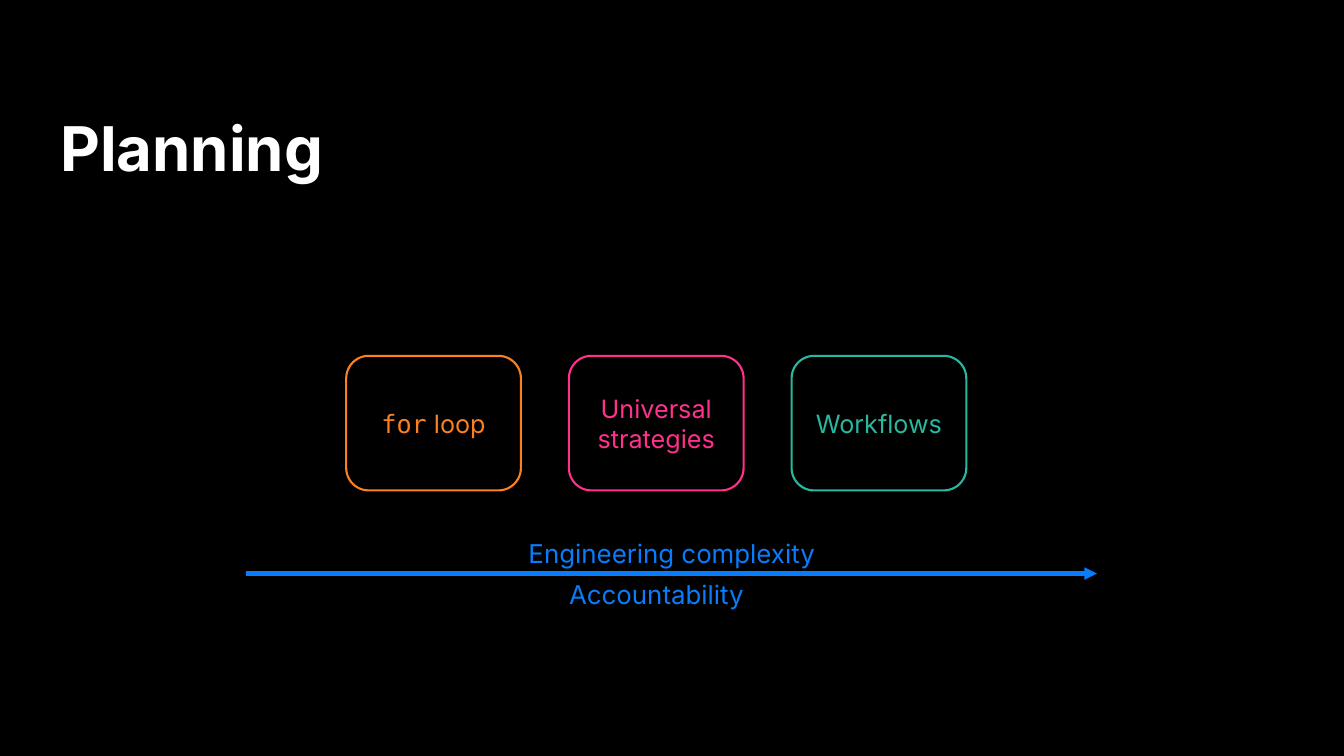
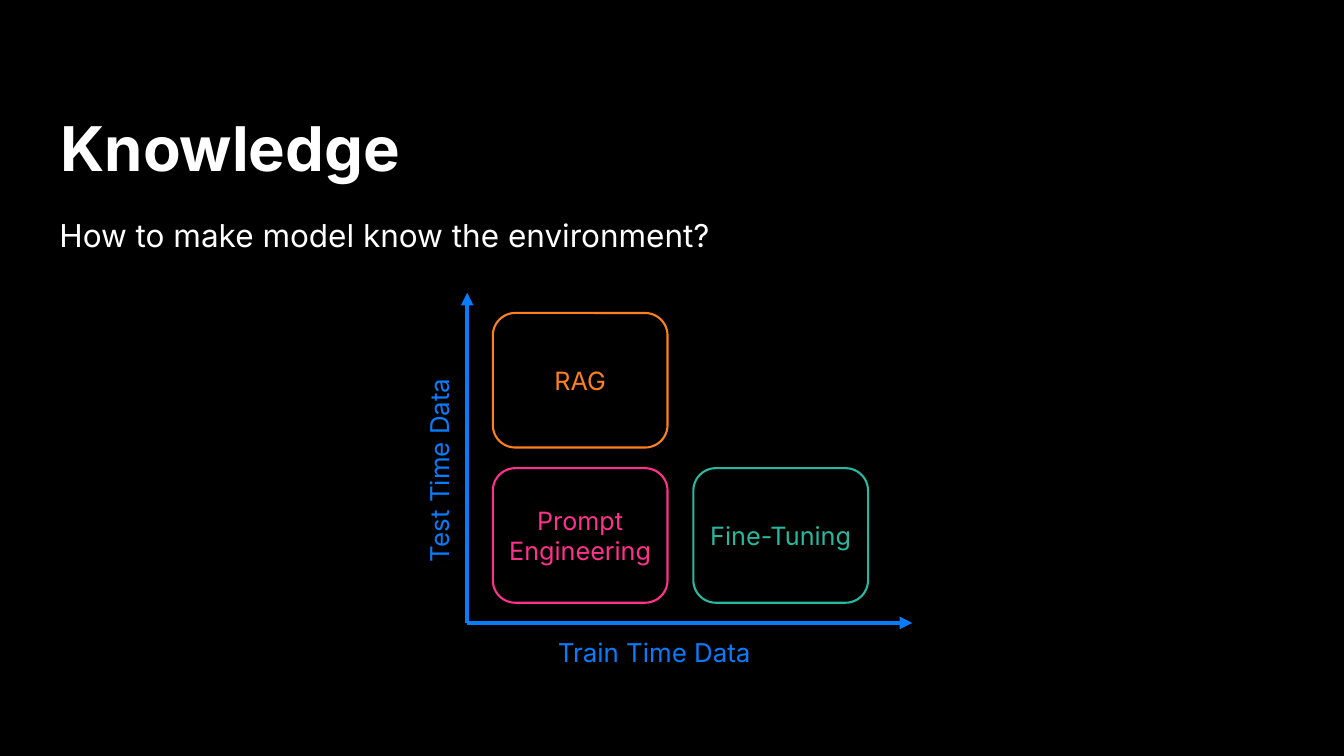
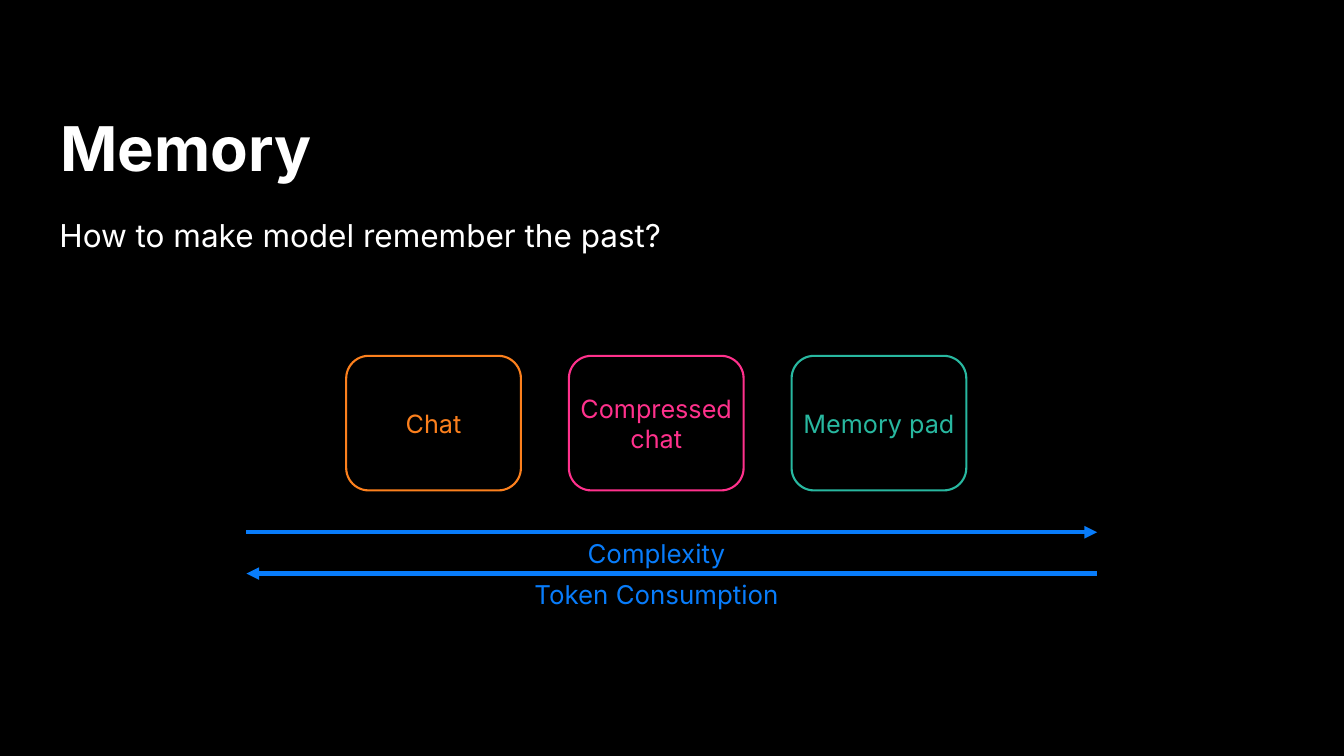
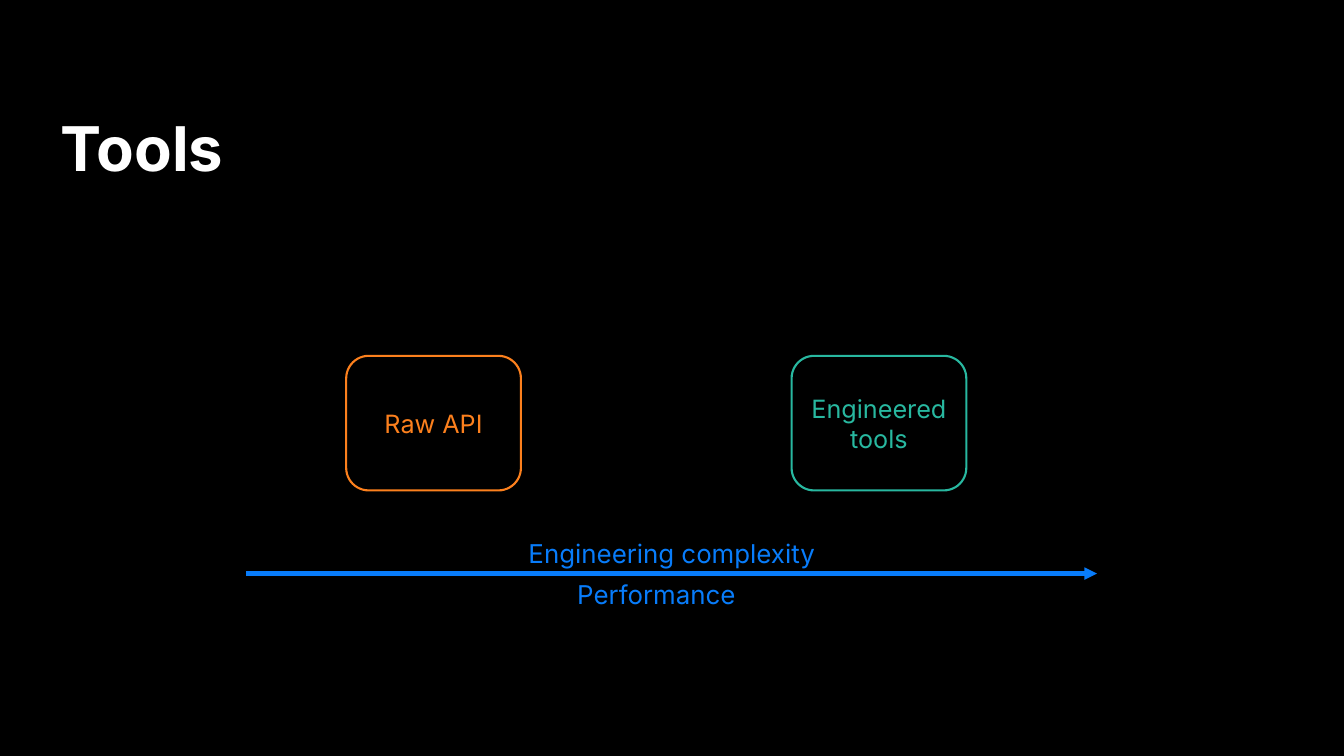
"""Build four dark slides on planning, knowledge, memory and tools for agents."""
from dataclasses import dataclass
from typing import Any

from lxml import etree
from pptx import Presentation
from pptx import util as u
from pptx.dml.color import RGBColor
from pptx.enum import shapes, text
from pptx.oxml.ns import qn

BLACK = RGBColor(0x00, 0x00, 0x00)
WHITE = RGBColor(0xFF, 0xFF, 0xFF)
ORANGE = RGBColor(0xFC, 0x80, 0x1D)
PINK = RGBColor(0xFF, 0x31, 0x8C)
TEAL = RGBColor(0x28, 0xB8, 0xA0)
BLUE = RGBColor(0x08, 0x7C, 0xFA)

SANS, MONO = "Inter", "DejaVu Sans Mono"
WIDTH, HEIGHT = u.Inches(26.67), u.Inches(15)
COLS = ROWS = 100
CARD_W, CARD_H = 13, 17.8
LABEL_H = 5.47
LOWER = 75.87
UPPER = LOWER - LABEL_H
START, END = 18.34, 81.63


@dataclass(frozen=True)
class Area:
    left: float
    top: float
    width: float
    height: float


@dataclass(frozen=True)
class Style:
    size: float
    inset: tuple[float, float, float, float]
    frame: dict[str, Any]
    para: dict[str, Any]
    bold: bool = False


@dataclass(frozen=True)
class Grid:
    left: float
    top: float
    across: float
    down: float = 0


@dataclass(frozen=True)
class Card:
    words: str
    color: RGBColor
    col: int = 0
    row: int = 0
    code: str = ""


@dataclass(frozen=True)
class Label:
    words: str
    left: float
    top: float
    width: float
    turn: float = 0


@dataclass(frozen=True)
class Arrow:
    x1: float
    y1: float
    x2: float
    y2: float
    end: str = "tailEnd"


@dataclass(frozen=True)
class Page:
    title: str
    grid: Grid
    cards: tuple[Card, ...]
    labels: tuple[Label, ...]
    arrows: tuple[Arrow, ...]
    lead: str = ""


CENTER = {"alignment": text.PP_ALIGN.CENTER}
EVEN = (7.2, 7.2, 7.2, 7.2)
TITLE = Style(88, (0, 19.44, 0, 19.44), {"vertical_anchor": text.MSO_ANCHOR.BOTTOM},
              {"line_spacing": 0.9}, True)
LEAD = Style(45, (0, 6.48, 0, 0), {"vertical_anchor": text.MSO_ANCHOR.TOP},
             {"line_spacing": 1.15, "space_after": u.Pt(16)})
BODY = Style(36, EVEN, {"vertical_anchor": text.MSO_ANCHOR.MIDDLE}, CENTER)
NOTE = Style(37, EVEN, {"auto_size": text.MSO_AUTO_SIZE.SHAPE_TO_FIT_TEXT}, CENTER)

TITLE_AREA = Area(4.5, 5.6, 91.08, 20.6)
LEAD_AREA = Area(4.42, 27.2, 91.08, 4.6)
BAND = Grid(25.76, 47.07, 16.57)
PLANE = Grid(36.67, 41.4, 14.92, 20.53)
RIGHT = Arrow(START, LOWER, END, LOWER)
EFFORT = Label("Engineering complexity", 38.13, UPPER, 23.7)


def below(words: str, top: float = LOWER) -> Label:
    return Label(words, 38.77, top, 20.14)


PAGES = (
    Page("Planning", BAND,
         (Card(" loop", ORANGE, code="for"), Card("Universal strategies", PINK, 1),
          Card("Workflows", TEAL, 2)),
         (EFFORT, below("Accountability")), (RIGHT,)),
    Page("Knowledge", PLANE,
         (Card("RAG", ORANGE), Card("Prompt Engineering", PINK, 0, 1),
          Card("Fine-Tuning", TEAL, 1, 1)),
         (Label("Test Time Data", 22.09, 59.47, 21.15, 270),
          Label("Train Time Data", 38.1, 83.6, 21.15)),
         (Arrow(34.76, 82.4, 34.76, 38.73), Arrow(34.76, 82.4, 67.87, 82.4)),
         "How to make model know the environment?"),
    Page("Memory", BAND,
         (Card("Chat", ORANGE), Card("Compressed chat", PINK, 1),
          Card("Memory pad", TEAL, 2)),
         (below("Complexity", UPPER), below("Token Consumption")),
         (Arrow(START, UPPER, END, UPPER), Arrow(START, LOWER, END, LOWER, "headEnd")),
         "How to make model remember the past?"),
    Page("Tools", BAND,
         (Card("Raw API", ORANGE), Card("Engineered tools", TEAL, 2)),
         (EFFORT, below("Performance")), (RIGHT,)),
)


def across(cols: float) -> int:
    return round(WIDTH * cols / COLS)


def down(rows: float) -> int:
    return round(HEIGHT * rows / ROWS)


def place(area: Area) -> tuple[int, int, int, int]:
    return across(area.left), down(area.top), across(area.width), down(area.height)


def apply(item: Any, values: dict[str, Any]) -> None:
    for name, value in values.items():
        setattr(item, name, value)


def write(shape: Any, words: str, style: Style, color: RGBColor, code: str = "") -> None:
    frame = shape.text_frame
    apply(frame, {"word_wrap": True, **style.frame})
    for side, gap in zip(("left", "top", "right", "bottom"), style.inset):
        setattr(frame, f"margin_{side}", u.Pt(gap))
    para = frame.paragraphs[0]
    apply(para, style.para)
    for part, face in ((code, MONO), (words, SANS)):
        if part:
            run = para.add_run()
            run.text = part
            apply(run.font, {"name": face, "size": u.Pt(style.size), "bold": style.bold})
            run.font.color.rgb = color


def add_text(slide: Any, area: Area, words: str, style: Style, color: RGBColor,
             turn: float = 0) -> None:
    box = slide.shapes.add_textbox(*place(area))
    box.rotation = turn
    write(box, words, style, color)


def add_card(slide: Any, grid: Grid, card: Card) -> None:
    area = Area(grid.left + card.col * grid.across, grid.top + card.row * grid.down,
                CARD_W, CARD_H)
    shape = slide.shapes.add_shape(shapes.MSO_SHAPE.ROUNDED_RECTANGLE, *place(area))
    shape.adjustments[0] = 0.167
    shape.shadow.inherit = False
    shape.fill.solid()
    shape.fill.fore_color.rgb = BLACK
    shape.line.color.rgb = card.color
    shape.line.width = u.Pt(3)
    write(shape, card.words, BODY, card.color, card.code)


def add_arrow(slide: Any, arrow: Arrow) -> None:
    line = slide.shapes.add_connector(
        shapes.MSO_CONNECTOR.STRAIGHT, across(arrow.x1), down(arrow.y1),
        across(arrow.x2), down(arrow.y2))
    line.line.color.rgb = BLUE
    line.line.width = u.Pt(6)
    props = line.element.spPr
    etree.SubElement(props.find(qn("a:ln")), qn(f"a:{arrow.end}"), type="triangle")
    etree.SubElement(props, qn("a:effectLst"))


def add_page(deck: Any, page: Page) -> None:
    slide = deck.slides.add_slide(deck.slide_layouts[6])
    slide.background.fill.solid()
    slide.background.fill.fore_color.rgb = BLACK
    add_text(slide, TITLE_AREA, page.title, TITLE, WHITE)
    if page.lead:
        add_text(slide, LEAD_AREA, page.lead, LEAD, WHITE)
    for arrow in page.arrows:
        add_arrow(slide, arrow)
    for card in page.cards:
        add_card(slide, page.grid, card)
    for label in page.labels:
        area = Area(label.left, label.top, label.width, LABEL_H)
        add_text(slide, area, label.words, NOTE, BLUE, label.turn)


def main() -> None:
    deck = Presentation()
    apply(deck, {"slide_width": WIDTH, "slide_height": HEIGHT})
    for page in PAGES:
        add_page(deck, page)
    deck.save("out.pptx")


if __name__ == "__main__":
    main()
